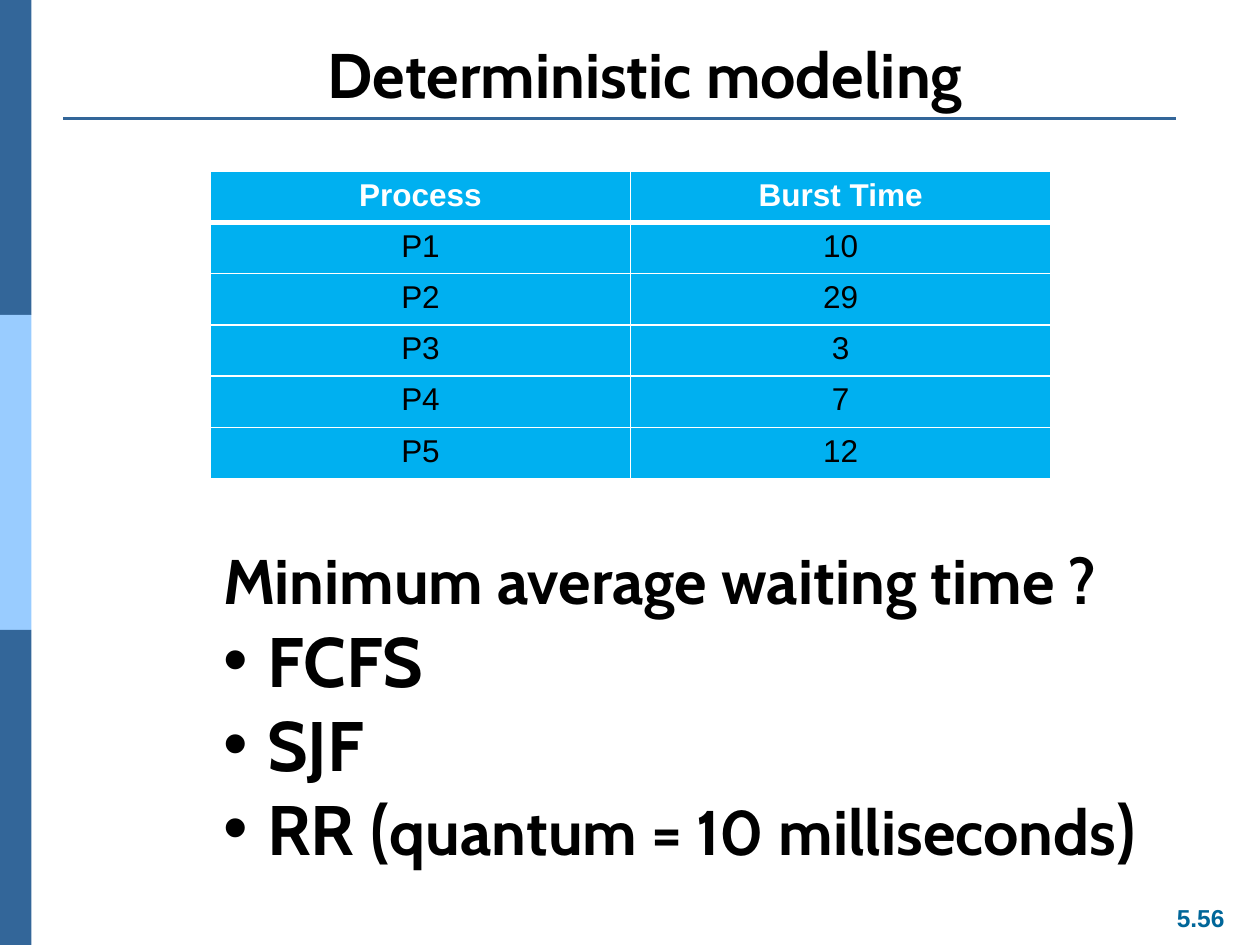
import pptx
import pptx.dml.color
import pptx.enum.shapes
import pptx.enum.text
import pptx.oxml
import pptx.oxml.ns
import pptx.util
from pptx.util import Inches

ALIGN = pptx.enum.text.PP_ALIGN
ANCHOR = pptx.enum.text.MSO_ANCHOR
NAMESPACE = pptx.oxml.ns.nsdecls("a")


def color(value):
    return pptx.dml.color.RGBColor.from_string(value)


def add_text(paragraph, text, size=36, font="Cabin", fill="000000", bold=True, align=ALIGN.LEFT):
    """Append one formatted run and align its paragraph."""
    paragraph.alignment = align
    paragraph.space_before = pptx.util.Pt(0)
    run = paragraph.add_run()
    run.text = text
    run.font.size = pptx.util.Pt(size)
    run.font.name = font
    run.font.bold = bold
    run.font.color.rgb = color(fill)


presentation = pptx.Presentation()
presentation.slide_width = Inches(10)
presentation.slide_height = Inches(7.5)
slide = presentation.slides.add_slide(presentation.slide_layouts[1])

# Side band and title rule
for index, fill in enumerate(["336699", "99CCFF", "336699"]):
    band = slide.shapes.add_shape(
        pptx.enum.shapes.MSO_SHAPE.RECTANGLE, 0, Inches(2.5 * index), Inches(0.25), Inches(2.5))
    band.shadow.inherit = False
    band.fill.solid()
    band.fill.fore_color.rgb = color(fill)
    band.line.fill.background()

rule = slide.shapes.add_connector(
    pptx.enum.shapes.MSO_CONNECTOR.STRAIGHT, Inches(0.5), Inches(0.94), Inches(9.33), Inches(0.94))
rule.line.color.rgb = color("336699")
rule.line.width = pptx.util.Pt(1.5)
rule._element.spPr.append(pptx.oxml.parse_xml(f"<a:effectLst {NAMESPACE}/>"))

# Title, list and page number
title = slide.shapes.title
body = slide.placeholders[1]
page_number = slide.shapes.add_textbox(0, 0, 0, 0)
for shape, box, anchor, wrap in [
    (title, (0.62, 0.3, 9, 0.63), ANCHOR.BOTTOM, True),
    (body, (1.67, 4.25, 7.56, 2.73), ANCHOR.TOP, False),
    (page_number, (9.23, 7.12, 0.6, 0.34), ANCHOR.TOP, False),
]:
    shape.left, shape.top, shape.width, shape.height = [Inches(length) for length in box]
    shape.text_frame.vertical_anchor = anchor
    shape.text_frame.word_wrap = wrap
    shape.text_frame.auto_size = pptx.enum.text.MSO_AUTO_SIZE.NONE

add_text(title.text_frame.paragraphs[0], "Deterministic modeling", align=ALIGN.CENTER)
add_text(page_number.text_frame.paragraphs[0], "5.56", size=14, font="Arial",
         fill="006699", align=ALIGN.CENTER)

lines = [
    [("Minimum average waiting time ?", 36)],
    [("FCFS", 40)],
    [("SJF", 40)],
    [("RR (", 40), ("quantum = 10 milliseconds", 36), (")", 40)],
]
for index, runs in enumerate(lines):
    paragraph = body.text_frame.paragraphs[0] if index == 0 else body.text_frame.add_paragraph()
    for text, size in runs:
        add_text(paragraph, text, size=size)
    indent = Inches(0.35) if index else 0
    properties = paragraph._p.get_or_add_pPr()
    properties.set("marL", str(indent))
    properties.set("indent", str(-indent))
    bullet = f'<a:buChar {NAMESPACE} char="•"/>' if index else f"<a:buNone {NAMESPACE}/>"
    properties.append(pptx.oxml.parse_xml(bullet))

# Burst time table
rows = [("Process", "Burst Time"), ("P1", "10"), ("P2", "29"), ("P3", "3"), ("P4", "7"), ("P5", "12")]
table = slide.shapes.add_table(
    len(rows), 2, Inches(1.67), Inches(1.36), Inches(6.67), Inches(2.44)).table
for row_index, row in enumerate(rows):
    is_header = row_index == 0
    for column_index, text in enumerate(row):
        cell = table.cell(row_index, column_index)
        add_text(cell.text_frame.paragraphs[0], text, size=18, font="Arial", bold=is_header,
                 fill="FFFFFF" if is_header else "000000", align=ALIGN.CENTER)
        cell.fill.solid()
        cell.fill.fore_color.rgb = color("00B0F0")
        widths = {"lnL": 1, "lnR": 1, "lnT": 3 if row_index == 1 else 1, "lnB": 3 if is_header else 1}
        for position, (side, width) in enumerate(widths.items()):
            border = pptx.oxml.parse_xml(
                f'<a:{side} {NAMESPACE} w="{pptx.util.Pt(width)}"><a:solidFill>'
                f'<a:srgbClr val="FFFFFF"/></a:solidFill></a:{side}>')
            cell._tc.get_or_add_tcPr().insert(position, border)

presentation.save("out.pptx")
